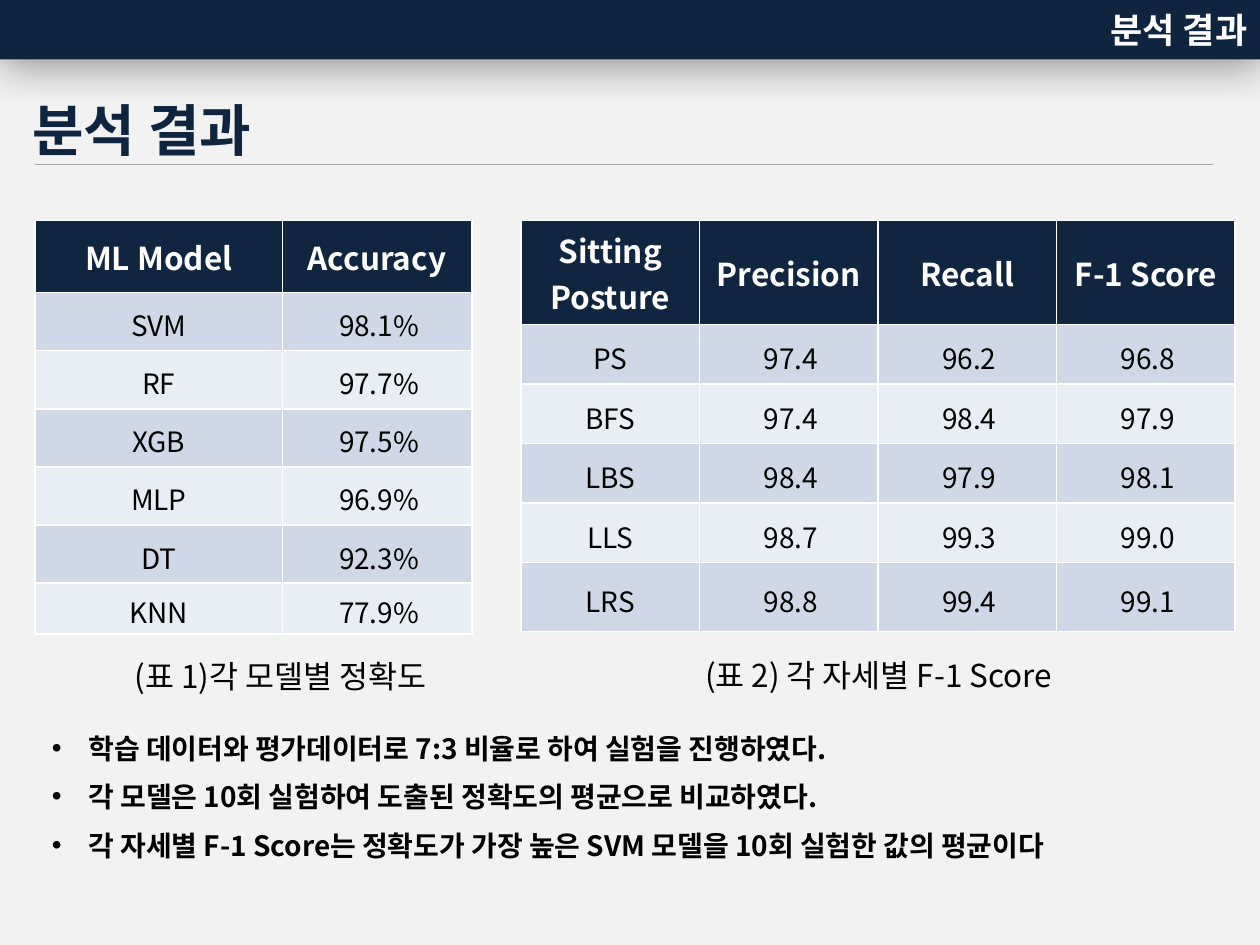
"""Build the analysis results slide with two score tables and three findings."""
from lxml import etree
from pptx import Presentation
from pptx import util as u
from pptx.dml.color import RGBColor
from pptx.enum import shapes, text
from pptx.oxml import parse_xml
from pptx.oxml.ns import nsdecls, qn

FONT = "Noto Sans CJK KR"
NAVY = RGBColor(0x0F, 0x24, 0x3E)
HEADER_NAVY = RGBColor(0x10, 0x25, 0x3F)
WHITE = RGBColor(0xFF, 0xFF, 0xFF)
BLACK = RGBColor(0, 0, 0)
GRAY = RGBColor(0xA6, 0xA6, 0xA6)
PAPER = RGBColor(0xF2, 0xF2, 0xF2)
BANDS = [RGBColor(0xE9, 0xED, 0xF4), RGBColor(0xD0, 0xD8, 0xE8)]
CENTER = text.PP_ALIGN.CENTER


def write(frame, content, size=16, color=BLACK, bold=False, align=CENTER,
          spacing=1.0, after=0, indent=0, hanging=0, bullet=None):
    frame.word_wrap = True
    for index, line in enumerate(content.split("\n")):
        paragraph = frame.add_paragraph() if index else frame.paragraphs[0]
        paragraph.alignment = align
        paragraph.line_spacing = spacing
        paragraph.space_before = u.Pt(0)
        paragraph.space_after = u.Pt(after)
        properties = paragraph._p.get_or_add_pPr()
        properties.set("marL", str(u.Cm(indent)))
        properties.set("indent", str(-u.Cm(hanging)))
        if bullet:
            etree.SubElement(properties, qn("a:buFont"), typeface="Arial")
            etree.SubElement(properties, qn("a:buChar"), char=bullet)
        else:
            etree.SubElement(properties, qn("a:buNone"))
        run = paragraph.add_run()
        run.text = line
        run.font.name = FONT
        run.font.size = u.Pt(size)
        run.font.bold = bold
        run.font.color.rgb = color
        etree.SubElement(run.font._element, qn("a:ea"), typeface=FONT)


def place(shape, left, top, width, height):
    shape.left, shape.top = u.Cm(left), u.Cm(top)
    shape.width, shape.height = u.Cm(width), u.Cm(height)


presentation = Presentation()
presentation.slide_width = u.Cm(25.4)
presentation.slide_height = u.Cm(19.05)
slide = presentation.slides.add_slide(presentation.slide_layouts[3])
slide.background.fill.solid()
slide.background.fill.fore_color.rgb = PAPER
title, header, findings = slide.placeholders

bar = slide.shapes.add_shape(shapes.MSO_SHAPE.PENTAGON, 0, 0, u.Cm(25.4), u.Cm(1.2))
bar.adjustments[0] = 0
bar.fill.solid()
bar.fill.fore_color.rgb = NAVY
bar.line.fill.background()
bar.element.spPr.append(parse_xml(
    f'<a:effectLst {nsdecls("a")}>'
    f'<a:outerShdw blurRad="{u.Pt(25)}" dist="{u.Pt(3)}" dir="5400000" rotWithShape="0">'
    '<a:srgbClr val="000000"><a:alpha val="40000"/></a:srgbClr>'
    '</a:outerShdw></a:effectLst>'))
slide.shapes.element.insert(2, bar.element)

place(title, 0.4, 1.78, 5.26, 1.63)
place(header, 0, 0, 25.4, 1.2)
place(findings, 0.79, 14.73, 23.8, 3.18)
for shape in (title, header):
    shape.text_frame.vertical_anchor = text.MSO_ANCHOR.MIDDLE
for shape in (title, header, findings):
    shape.text_frame.auto_size = text.MSO_AUTO_SIZE.NONE
write(title.text_frame, "분석 결과", size=32, color=NAVY, bold=True, align=text.PP_ALIGN.LEFT)
write(header.text_frame, "분석 결과", size=20, color=WHITE, bold=True, align=text.PP_ALIGN.RIGHT)
write(findings.text_frame,
      "학습 데이터와 평가데이터로 7:3 비율로 하여 실험을 진행하였다.\n"
      "각 모델은 10회 실험하여 도출된 정확도의 평균으로 비교하였다.\n"
      "각 자세별 F-1 Score는 정확도가 가장 높은 SVM 모델을 10회 실험한 값의 평균이다",
      bold=True, align=text.PP_ALIGN.JUSTIFY, spacing=0.82, after=12,
      indent=0.74, hanging=0.74, bullet="•")
findings.text_frame.paragraphs[-1].alignment = text.PP_ALIGN.LEFT

rule = slide.shapes.add_connector(
    shapes.MSO_CONNECTOR.STRAIGHT, u.Cm(0.71), u.Cm(3.32), u.Cm(24.46), u.Cm(3.32))
rule.line.color.rgb = GRAY
rule.line.width = u.Pt(0.75)
etree.SubElement(rule.element.spPr, qn("a:effectLst"))

accuracy_rows = [
    ("ML Model", "Accuracy"),
    ("SVM", "98.1%"),
    ("RF", "97.7%"),
    ("XGB", "97.5%"),
    ("MLP", "96.9%"),
    ("DT", "92.3%"),
    ("KNN", "77.9%"),
]
posture_rows = [
    ("Sitting\nPosture", "Precision", "Recall", "F-1 Score"),
    ("PS", "97.4", "96.2", "96.8"),
    ("BFS", "97.4", "98.4", "97.9"),
    ("LBS", "98.4", "97.9", "98.1"),
    ("LLS", "98.7", "99.3", "99.0"),
    ("LRS", "98.8", "99.4", "99.1"),
]
tables = [
    (0.71, [4.98, 3.82], [1.45] + [1.17] * 5 + [1.0], accuracy_rows),
    (10.5, [3.6] * 4, [2.08] + [1.2] * 4 + [1.39], posture_rows),
]
for left, widths, heights, rows in tables:
    table = slide.shapes.add_table(
        len(rows), len(widths), u.Cm(left), u.Cm(4.45),
        u.Cm(sum(widths)), u.Cm(sum(heights))).table
    for column, width in zip(table.columns, widths):
        column.width = u.Cm(width)
    for row_index, (height, values) in enumerate(zip(heights, rows)):
        table.rows[row_index].height = u.Cm(height)
        for column_index, value in enumerate(values):
            cell = table.cell(row_index, column_index)
            cell.vertical_anchor = text.MSO_ANCHOR.MIDDLE
            cell.fill.solid()
            if row_index == 0:
                cell.fill.fore_color.rgb = HEADER_NAVY
                write(cell.text_frame, value, size=18, color=WHITE, bold=True)
            else:
                cell.fill.fore_color.rgb = BANDS[row_index % 2]
                cell.margin_left = cell.margin_right = u.Cm(0.18)
                cell.margin_top = cell.margin_bottom = u.Cm(0.05)
                write(cell.text_frame, value, spacing=1.15, indent=0.08 if column_index else 0)

captions = [
    ("(표 2) 각 자세별 F-1 Score", 11.81, 13.11, 11.81),
    ("(표 1)각 모델별 정확도", 1.3, 13.13, 8.71),
]
for caption, left, top, width in captions:
    box = slide.shapes.add_textbox(u.Cm(left), u.Cm(top), u.Cm(width), u.Cm(1.02))
    write(box.text_frame, caption, size=18)

presentation.save("out.pptx")
